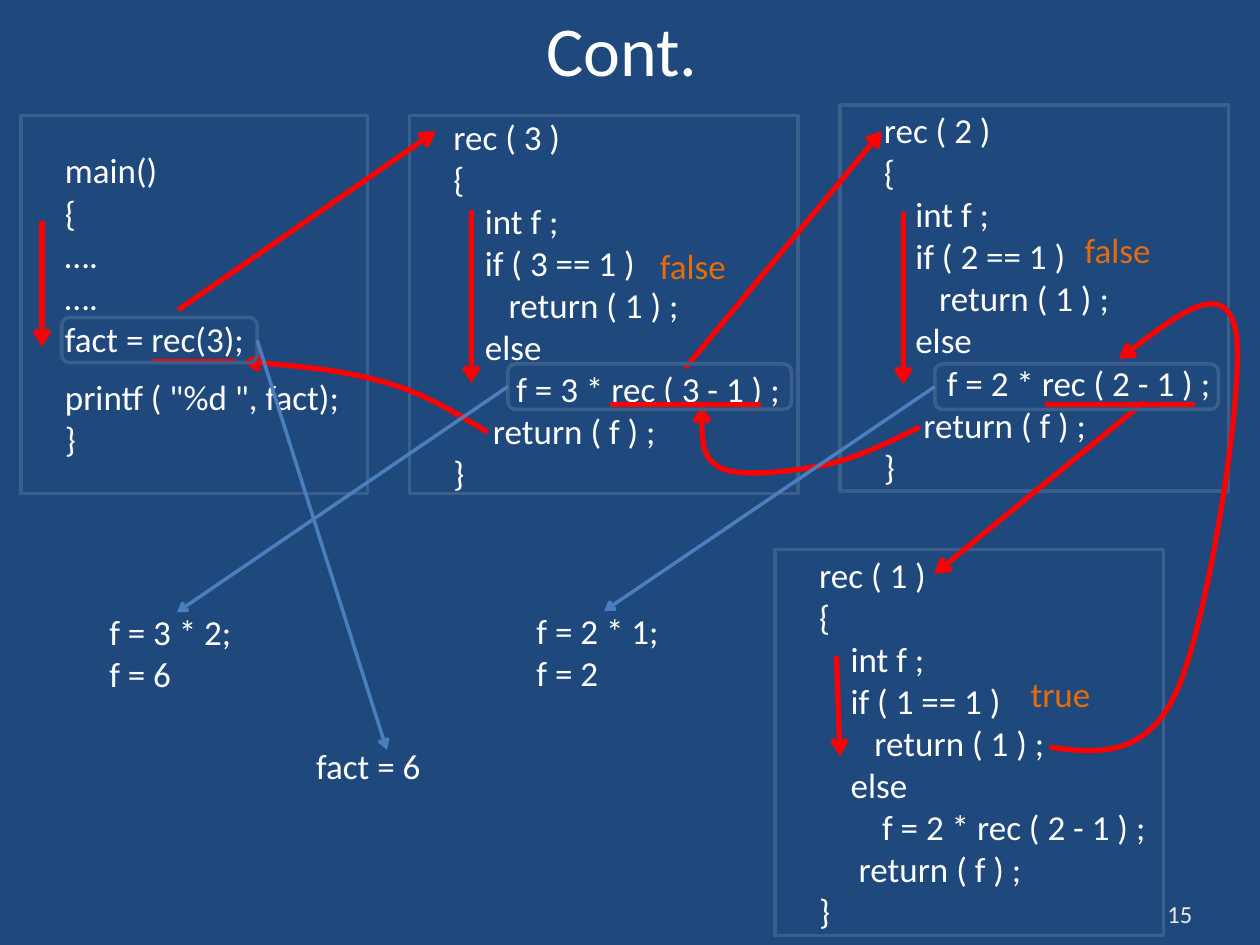
from dataclasses import dataclass

from lxml import etree
from pptx import Presentation
from pptx.dml.color import RGBColor
from pptx.enum import shapes, text
from pptx.oxml import ns
from pptx.util import Pt


@dataclass(frozen=True)
class Theme:
    font: str = "Calibri"
    background: str = "1F497D"
    ink: str = "FFFFFF"
    number: str = "EEECE1"
    verdict: str = "E46C0A"
    frame: str = "3A5F8C"
    flow: str = "FF0000"
    result: str = "4B7EBC"
    title_size: int = 40
    body_size: int = 20
    number_size: int = 14
    flow_width: int = 3
    thin_width: int = 2
    indent: int = 18


LEFT, RIGHT, TOP = 1, 3, 0


class SlideBuilder:
    def __init__(self, slide, theme):
        self.slide = slide
        self.theme = theme
        fill = slide.background.fill
        fill.solid()
        fill.fore_color.rgb = RGBColor.from_string(theme.background)

    def style_text(self, para, size=None, color=None):
        para.font.name = self.theme.font
        para.font.size = Pt(size or self.theme.body_size)
        para.font.color.rgb = RGBColor.from_string(color or self.theme.ink)

    def style_line(self, item, color, width, arrow=False):
        item.line.width = Pt(width)
        item.line.color.rgb = RGBColor.from_string(color)
        if arrow:
            outline = item.element.spPr.find(ns.qn("a:ln"))
            etree.SubElement(outline, ns.qn("a:tailEnd"), type="arrow")

    def title(self, words, *bounds):
        box = self.slide.shapes.title
        box.left, box.top, box.width, box.height = map(Pt, bounds)
        box.text_frame.text = words
        box.text_frame.vertical_anchor = text.MSO_ANCHOR.MIDDLE
        para = box.text_frame.paragraphs[0]
        para.alignment = text.PP_ALIGN.CENTER
        self.style_text(para, self.theme.title_size)

    def label(self, words, *bounds, size=None, color=None, parent=None):
        box = (parent or self.slide).shapes.add_textbox(*map(Pt, bounds))
        frame = box.text_frame
        frame.word_wrap = True
        frame.vertical_anchor = text.MSO_ANCHOR.MIDDLE
        frame.text = words
        for para in frame.paragraphs:
            self.style_text(para, size, color)
        return box

    def outline(self, kind, *bounds, parent=None):
        box = (parent or self.slide).shapes.add_shape(kind, *map(Pt, bounds))
        box.shadow.inherit = False
        box.fill.background()
        self.style_line(box, self.theme.frame, self.theme.thin_width)
        return box

    def code(self, lines, *bounds):
        """Frame a listing; each line is (words, extra indent, space before)."""
        box = self.outline(shapes.MSO_SHAPE.RECTANGLE, *bounds)
        frame = box.text_frame
        frame.vertical_anchor = text.MSO_ANCHOR.MIDDLE
        frame.text = "\n".join(words for words, _, _ in lines)
        for para, (_, indent, gap) in zip(frame.paragraphs, lines):
            para.alignment = text.PP_ALIGN.LEFT
            para.space_before = Pt(gap)
            self.style_text(para)
            margin = Pt(self.theme.indent + indent)
            para._p.get_or_add_pPr().set("marL", str(margin))

    def connector(self, start, end, color, width, arrow, parent=None):
        link = (parent or self.slide).shapes.add_connector(
            shapes.MSO_CONNECTOR.STRAIGHT, *start, *end)
        self.style_line(link, color, width, arrow)
        etree.SubElement(link.element.spPr, ns.qn("a:effectLst"))
        return link

    def flow(self, x1, y1, x2, y2, arrow=True):
        self.connector((Pt(x1), Pt(y1)), (Pt(x2), Pt(y2)),
                       self.theme.flow, self.theme.flow_width, arrow)

    def curve(self, start, *points):
        """Draw an arrow of cubic curves, three points to each segment."""
        builder = self.slide.shapes.build_freeform(*map(Pt, start))
        builder.add_line_segments(
            [(Pt(x), Pt(y)) for x, y in points], close=False)
        shape = builder.convert_to_shape()
        steps = list(shape.element.iter(ns.qn("a:lnTo")))
        for first in range(0, len(steps), 3):
            bend = etree.Element(ns.qn("a:cubicBezTo"))
            steps[first].addprevious(bend)
            for step in steps[first:first + 3]:
                bend.append(step[0])
                step.getparent().remove(step)
        shape.shadow.inherit = False
        shape.fill.background()
        self.style_line(shape, self.theme.flow, self.theme.flow_width, True)

    def result(self, words, text_bounds, call_bounds, side):
        """Group a highlighted call with an arrow to its worked-out value."""
        group = self.slide.shapes.add_group_shape()
        value = self.label(words, *text_bounds, parent=group)
        call = self.outline(shapes.MSO_SHAPE.ROUNDED_RECTANGLE,
                            *call_bounds, parent=group)
        link = self.connector((call.left, call.top), (value.left, value.top),
                              self.theme.result, self.theme.thin_width,
                              True, parent=group)
        link.begin_connect(call, side)
        link.end_connect(value, TOP)


def rec_listing(n):
    factor = max(n, 2)
    return [
        (f"rec ( {n} )", 0, 0),
        ("{", 0, 0),
        ("int f ;", 18, 0),
        (f"if ( {n} == 1 )", 18, 0),
        ("return ( 1 ) ;", 31.6, 0),
        ("else", 18, 0),
        (f"f = {factor} * rec ( {factor} - 1 ) ;", 36, 0),
        ("return ( f ) ;", 22.6, 0),
        ("}", 0, 0),
    ]


def main():
    deck = Presentation()
    deck.slide_width, deck.slide_height = Pt(720), Pt(540)
    theme = Theme()
    page = SlideBuilder(deck.slides.add_slide(deck.slide_layouts[5]), theme)

    page.label("15", 660, 510, 48, 24,
               size=theme.number_size, color=theme.number)
    page.title("Cont. ", 36, 0, 648, 56)

    main_lines = ["main()", "{", "….", "….", "fact = rec(3);",
                  'printf ( "%d ", fact);', "}"]
    page.code([(line, 0, 9.6 if line.startswith("printf") else 0)
               for line in main_lines], 12, 66, 198, 216)
    for n, left, top, height in ((3, 234, 66, 216), (2, 480, 60, 220.5),
                                 (1, 443, 314, 220.5)):
        page.code(rec_listing(n), left, top, 222, height)

    for verdict, left, top in (("false", 370, 139.7), ("false", 612.7, 130.3),
                               ("true", 581.8, 383.8)):
        page.label(verdict, left, top, 54, 24.5, color=theme.verdict)

    for left, right, y in ((87, 134.6, 206.6), (348.5, 434.9, 231.1),
                           (597, 682.6, 231.1)):
        page.flow(left, y, right, y, arrow=False)

    execution = [(24, 126, 24, 198), (269.3, 120.2, 269.3, 218.9),
                 (516.2, 121, 516.2, 219.6), (478, 375, 480, 432)]
    calls = [(102, 177, 249, 75), (391.7, 210.2, 504, 75),
             (653.8, 229.7, 534, 328)]
    for ends in execution + calls:
        page.flow(*ends)

    page.curve((599.8, 427), (626.8, 430.6), (655.2, 433.4), (672.5, 394.6),
               (690.5, 355), (711.4, 221.8), (706.3, 190.1),
               (700.6, 158.4), (669.6, 182.2), (639.4, 205.2))
    page.curve((525.6, 244.1), (508.3, 252.7), (490.3, 261.4), (471.6, 265.7),
               (452.9, 269.3), (424.8, 272.9), (412.6, 267.8),
               (401, 262.1), (401, 247), (401, 231.8))
    page.curve((278.6, 247), (260.6, 236.2), (242.6, 224.6), (218.9, 218.2),
               (195.8, 211.7), (167, 208.8), (139, 206.6))

    page.result("f = 2 * 1;\nf = 2", (299.5, 349.2, 91.4, 46),
                (534.2, 208, 162, 25.9), LEFT)
    page.result("f = 3 * 2;\nf = 6", (55.4, 349.9, 91.4, 46),
                (290.2, 208, 162, 25.9), LEFT)
    page.result("fact = 6", (173.5, 428.4, 95, 18),
                (35.3, 181.4, 111.6, 25.9), RIGHT)
    deck.save("out.pptx")


if __name__ == "__main__":
    main()
